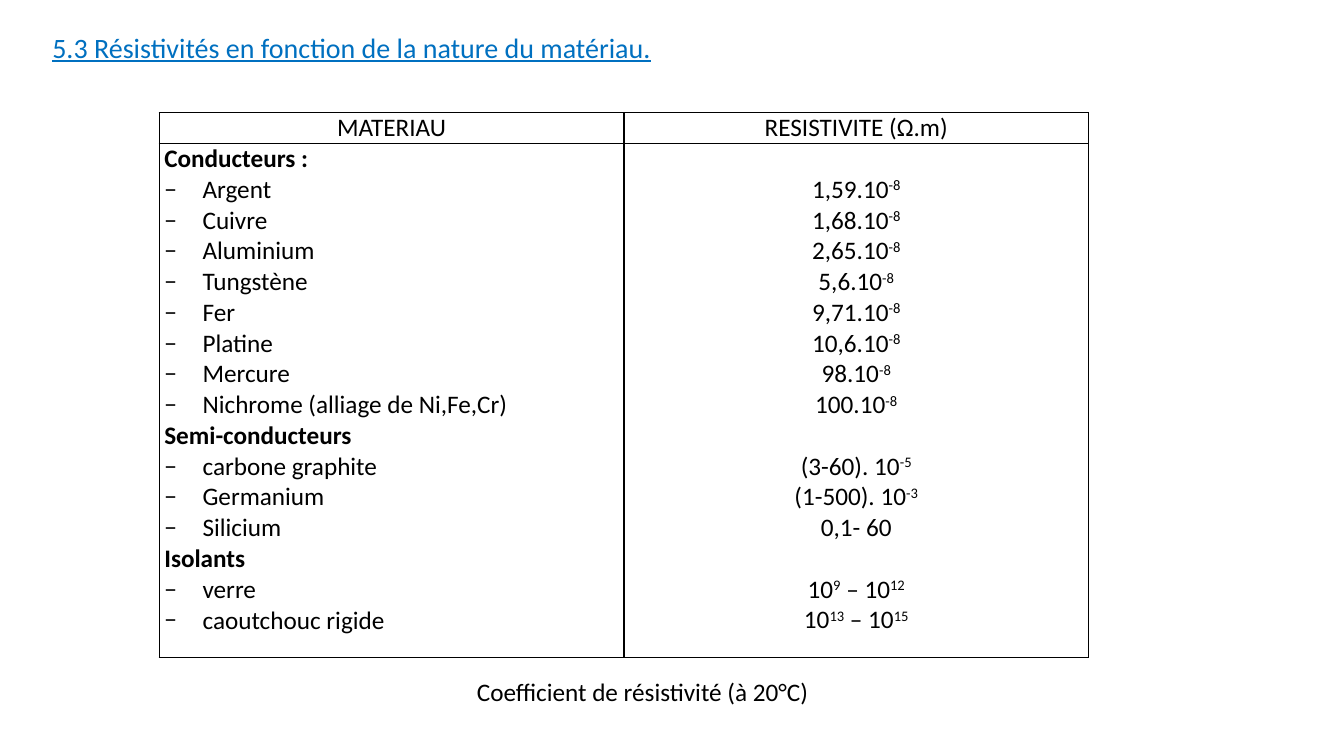
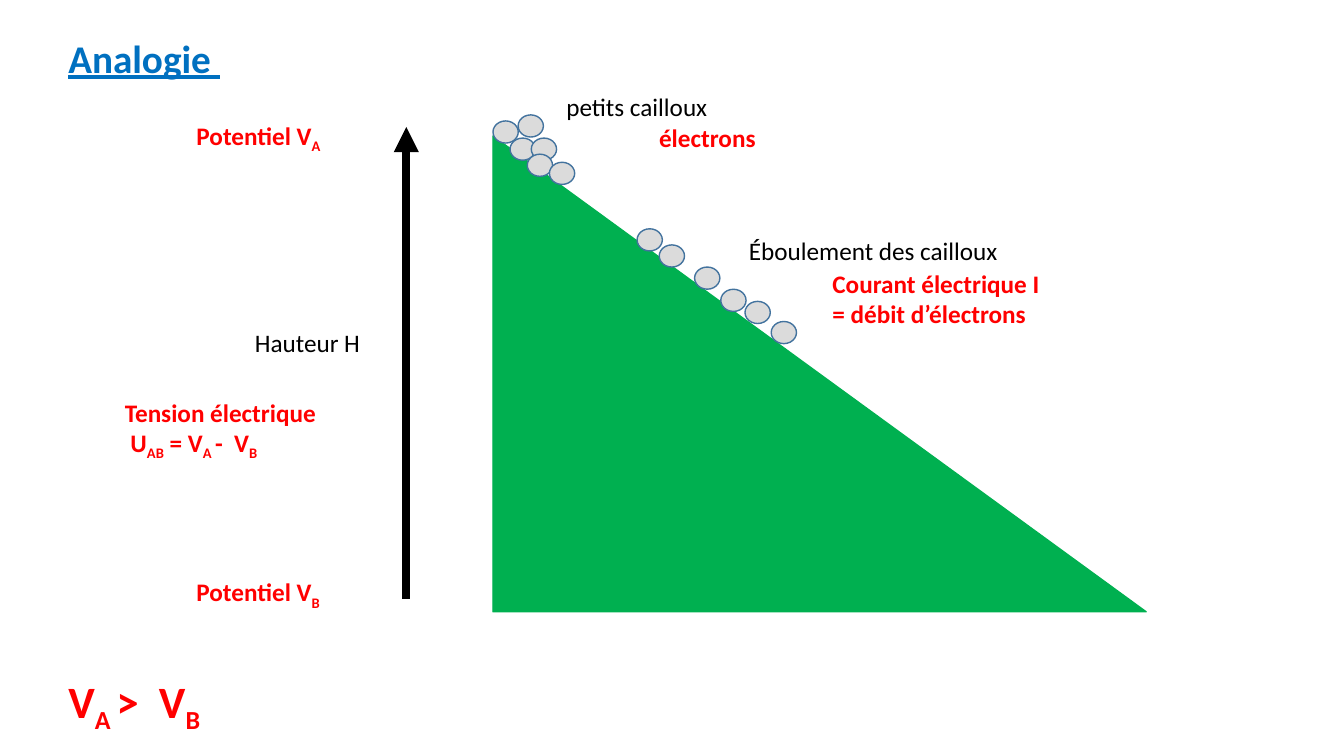
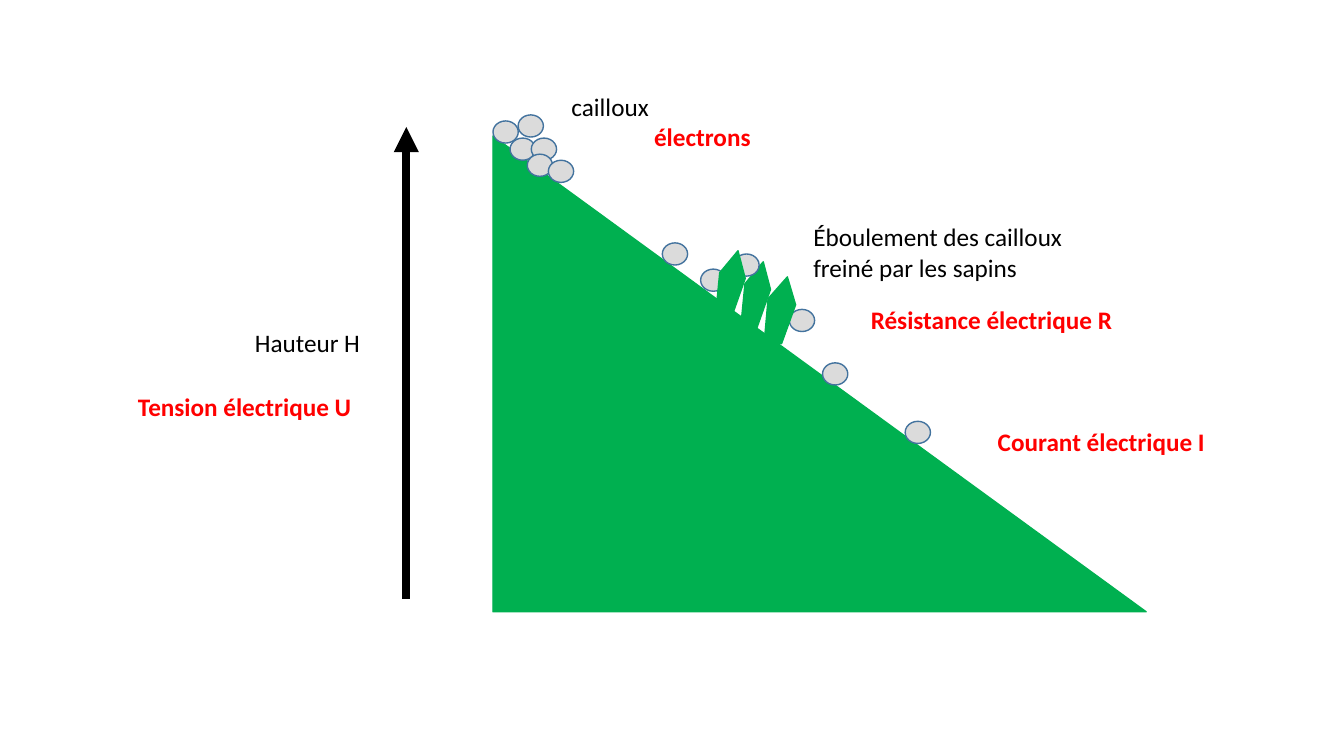
from lxml import etree
from pptx import Presentation
from pptx.dml.color import RGBColor
from pptx.enum.shapes import MSO_CONNECTOR, MSO_SHAPE
from pptx.enum.text import MSO_AUTO_SIZE, PP_ALIGN
from pptx.oxml.ns import qn
from pptx.util import Inches, Pt

STRAIGHT = MSO_CONNECTOR.STRAIGHT
TRIANGLE, OVAL, PENTAGON = MSO_SHAPE.RIGHT_TRIANGLE, MSO_SHAPE.OVAL, MSO_SHAPE.REGULAR_PENTAGON
LEFT, CENTER = PP_ALIGN.LEFT, PP_ALIGN.CENTER
FIT_TEXT = MSO_AUTO_SIZE.SHAPE_TO_FIT_TEXT

BLACK, WHITE, RED, BLUE = "000000", "FFFFFF", "FF0000", "0070C0"
GREEN, STONE_FILL, STONE_LINE = "00B050", "DBDBDB", "43739E"
LINE_HEIGHT = 1.22

# One column and one row are each a hundredth of the slide.
COLUMN, ROW = Inches(13.33) / 100, Inches(7.5) / 100

FORMATS = {
    "section": {"size": Pt(20), "underline": True},
    "title": {"size": Pt(28), "bold": True, "underline": True},
    "plain": {"size": Pt(18)},
    "strong": {"size": Pt(18), "bold": True},
    "formula": {"size": Pt(32), "bold": True},
}
TEXT_COLORS = {"section": BLUE, "title": BLUE, "plain": BLACK, "strong": RED, "formula": RED}


def rgb(hex_color):
    return RGBColor.from_string(hex_color)


def write_line(paragraph, text, style, color, baseline, alignment=LEFT):
    """Write a line in which every second part between bars is raised or lowered."""
    paragraph.alignment = alignment
    for index, part in enumerate(text.split("|")):
        if not part:
            continue
        run = paragraph.add_run()
        run.text = part
        run.font.name = "Calibri"
        run.font.color.rgb = rgb(color)
        for name, value in FORMATS[style].items():
            setattr(run.font, name, value)
        if index % 2:
            run.font._element.set("baseline", str(baseline * 1000))


presentation = Presentation()
presentation.slide_width, presentation.slide_height = Inches(13.33), Inches(7.5)
blank = presentation.slide_layouts[6]
resistivity, analogy, resistance = [presentation.slides.add_slide(blank) for _ in range(3)]

# Table of resistivities
materials = [
    ("Conducteurs :", [
        ("Argent", "1,59.10|-8"),
        ("Cuivre", "1,68.10|-8"),
        ("Aluminium", "2,65.10|-8"),
        ("Tungstène", "5,6.10|-8"),
        ("Fer", "9,71.10|-8"),
        ("Platine", "10,6.10|-8"),
        ("Mercure", "98.10|-8"),
        ("Nichrome (alliage de Ni,Fe,Cr)", "100.10|-8"),
    ]),
    ("Semi-conducteurs", [
        ("carbone graphite", "(3-60). 10|-5"),
        ("Germanium", "(1-500). 10|-3"),
        ("Silicium", "0,1- 60"),
    ]),
    ("Isolants", [
        ("verre", "10|9| – 10|12"),
        ("caoutchouc rigide", "10|13| – 10|15"),
    ]),
]
frame = resistivity.shapes.add_table(2, 2, round(11.85 * COLUMN), round(14.93 * ROW),
                                     round(69.15 * COLUMN), round(72 * ROW))
table = frame.table
table.first_row = table.horz_banding = False
table.rows[0].height, table.rows[1].height = round(4 * ROW), round(68 * ROW)

for cell in table.iter_cells():
    cell.margin_left = cell.margin_right = Inches(0.05)
    cell.margin_top = cell.margin_bottom = 0
    properties = cell._tc.get_or_add_tcPr()
    for side in ("lnL", "lnR", "lnT", "lnB"):
        border = etree.SubElement(properties, qn(f"a:{side}"), w=str(Pt(1)))
        fill = etree.SubElement(border, qn("a:solidFill"))
        etree.SubElement(fill, qn("a:srgbClr"), val=BLACK)
    cell.fill.solid()
    cell.fill.fore_color.rgb = rgb(WHITE)

for column, heading in enumerate(["MATERIAU", "RESISTIVITE (Ω.m)"]):
    write_line(table.cell(0, column).text_frame.paragraphs[0], heading, "plain", BLACK, 30, CENTER)

heading_gap = Pt(18 * LINE_HEIGHT)
table.cell(1, 1).margin_top = heading_gap
names, values = table.cell(1, 0).text_frame, table.cell(1, 1).text_frame
for group_index, (group, items) in enumerate(materials):
    paragraph = names.add_paragraph() if group_index else names.paragraphs[0]
    write_line(paragraph, group, "strong", BLACK, 30)
    for item_index, (name, value) in enumerate(items):
        paragraph = names.add_paragraph()
        write_line(paragraph, name, "plain", BLACK, 30)
        indents = paragraph._p.get_or_add_pPr()
        indents.set("marL", str(Inches(0.38)))
        indents.set("indent", str(-Inches(0.38)))
        etree.SubElement(indents, qn("a:buFont"), typeface="Calibri")
        etree.SubElement(indents, qn("a:buChar"), char="−")

        paragraph = values.add_paragraph() if group_index or item_index else values.paragraphs[0]
        write_line(paragraph, value, "plain", BLACK, 30, CENTER)
        if group_index and not item_index:
            paragraph.space_before = heading_gap

# Hill, stones, trees and height arrow
hill = (TRIANGLE, 36.68, 18, 48.6, 62.93)
top_stones = [(36.68, 16), (37.95, 18.27), (39.53, 18.27), (38.55, 15.2), (39.23, 20.4)]
free_stones = [(49.05, 32.4), (51.68, 35.33), (47.4, 30.27), (53.63, 38.27),
               (55.43, 39.87), (40.88, 21.47), (57.38, 42.53)]
slowed_stones = [(52.13, 35.6), (54.6, 33.6), (58.73, 40.93), (61.2, 48),
                 (49.28, 32.13), (40.8, 21.2), (67.35, 55.73)]
back_trees = [(PENTAGON, 55.28, 34.53, 1.95, 8.8)]
front_trees = [(PENTAGON, 57, 36.53, 2.1, 8.8), (PENTAGON, 53.4, 33.07, 1.95, 8.8)]

for slide, stones, behind, before in [(analogy, free_stones, [], []),
                                      (resistance, slowed_stones, back_trees, front_trees)]:
    ovals = [(OVAL, left, top, 1.88, 2.93) for left, top in top_stones + stones]
    for kind, left, top, width, height in [hill, *behind, *ovals, *before]:
        shape = slide.shapes.add_shape(kind, round(left * COLUMN), round(top * ROW),
                                       round(width * COLUMN), round(height * ROW))
        shape.shadow.inherit = False
        shape.fill.solid()
        shape.fill.fore_color.rgb = rgb(STONE_FILL if kind == OVAL else GREEN)
        shape.line.color.rgb = rgb(STONE_LINE if kind == OVAL else GREEN)
        shape.line.width = Pt(1)
        if kind == PENTAGON:
            shape.rotation = 12.5

    arrow = slide.shapes.add_connector(STRAIGHT, round(30.23 * COLUMN), round(16.8 * ROW),
                                       round(30.23 * COLUMN), round(79.2 * ROW))
    arrow.line.color.rgb = rgb(BLACK)
    arrow.line.width = Pt(6)
    etree.SubElement(arrow.line._get_or_add_ln(), qn("a:headEnd"), type="triangle")
    etree.SubElement(arrow._element.spPr, qn("a:effectLst"))

# Titles and labels: left, top, width, style, lines
height_label = (18.23, 42.67, 9.45, "plain", ["Hauteur H"])
labels = [
    (resistivity, [
        (3.15, 3.33, 71.1, "section", ["5.3 Résistivités en fonction de la nature du matériau."]),
        (34.5, 88.8, 26.63, "plain", ["Coefficient de résistivité (à 20°C)"]),
    ]),
    (analogy, [
        height_label,
        (4.35, 3.87, 12.9, "title", ["Analogie "]),
        (41.4, 11.47, 12.15, "plain", ["petits cailloux"]),
        (48.3, 15.47, 8.7, "strong", ["électrons"]),
        (54.98, 30.53, 20.25, "plain", ["Éboulement des cailloux"]),
        (61.2, 34.8, 17.03, "strong", ["Courant électrique I", "= débit d’électrons"]),
        (13.88, 15.2, 11.18, "strong", ["Potentiel V|A"]),
        (8.55, 51.87, 15.83, "strong", ["Tension électrique", " U|AB| = V|A |-  V|B"]),
        (13.88, 75.6, 10.88, "strong", ["Potentiel V|B"]),
        (4.35, 88.4, 12.15, "formula", ["V|A |>  V|B"]),
    ]),
    (resistance, [
        height_label,
        (41.78, 11.47, 7.35, "plain", ["cailloux"]),
        (47.93, 15.33, 8.7, "strong", ["électrons"]),
        (59.78, 28.67, 20.25, "plain", ["Éboulement des cailloux", "freiné par les sapins"]),
        (64.05, 39.6, 19.58, "strong", ["Résistance électrique R"]),
        (9.53, 51.07, 17.48, "strong", ["Tension électrique U"]),
        (73.5, 55.73, 17.03, "strong", ["Courant électrique I"]),
    ]),
]
for slide, boxes in labels:
    for left, top, width, style, lines in boxes:
        height = len(lines) * FORMATS[style]["size"] * LINE_HEIGHT + Inches(0.1)
        box = slide.shapes.add_textbox(round(left * COLUMN), round(top * ROW),
                                       round(width * COLUMN), round(height))
        text_frame = box.text_frame
        text_frame.word_wrap = style == "section"
        text_frame.auto_size = FIT_TEXT
        alignment = CENTER if slide is resistivity and style == "plain" else LEFT
        for index, line in enumerate(lines):
            paragraph = text_frame.add_paragraph() if index else text_frame.paragraphs[0]
            write_line(paragraph, line, style, TEXT_COLORS[style], -25, alignment)

presentation.save("out.pptx")
